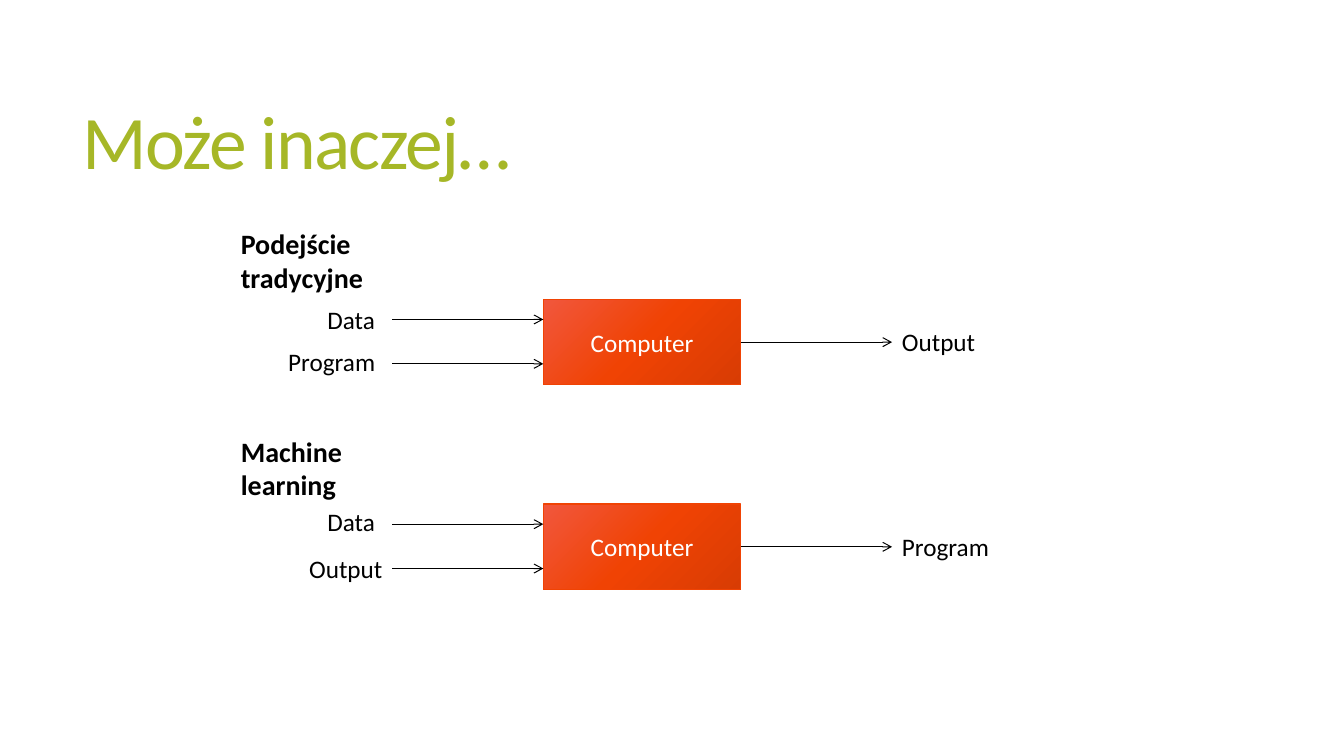
from copy import deepcopy

from lxml.etree import SubElement
from pptx import Presentation
from pptx.dml.color import RGBColor
from pptx.enum.shapes import MSO_CONNECTOR, MSO_SHAPE
from pptx.enum.text import MSO_ANCHOR, MSO_AUTO_SIZE, PP_ALIGN
from pptx.oxml.ns import qn
from pptx.util import Pt

BLACK = "000000"
BOX_WIDTH, BOX_HEIGHT = 141.1, 61.2
ARROW_LENGTH = 108
LABEL_HEIGHT = 28.8
LABEL_WIDTHS = {"Data": 48.3, "Program": 76.3, "Output": 67}


def color(hex_string):
    """Return the colour for a hex string."""
    return RGBColor.from_string(hex_string)


def format_text(shape, text, size, hex_string, bold=False):
    """Write one paragraph of text and format its run."""
    shape.text_frame.text = text
    paragraph = shape.text_frame.paragraphs[0]
    font = paragraph.runs[0].font
    font.name = "Calibri"
    font.size = Pt(size)
    font.bold = bold
    font.color.rgb = color(hex_string)
    return paragraph


def add_title(slide, text, left, top, width, height):
    """Place and format the title placeholder."""
    title = slide.shapes.title
    title.left, title.top, title.width, title.height = map(Pt, (left, top, width, height))
    paragraph = format_text(title, text, 54, "A6B727")
    paragraph.alignment = PP_ALIGN.LEFT
    paragraph.line_spacing = 0.85
    paragraph.runs[0].font._element.set("spc", "-120")
    title.text_frame.vertical_anchor = MSO_ANCHOR.MIDDLE
    title.text_frame.auto_size = MSO_AUTO_SIZE.NONE


def add_label(slide, text, left, top):
    """Add an unwrapped label for an input or a result."""
    label = slide.shapes.add_textbox(Pt(left), Pt(top), Pt(LABEL_WIDTHS[text]), Pt(LABEL_HEIGHT))
    format_text(label, text, 18, BLACK)
    label.text_frame.word_wrap = False


def add_heading(slide, text, left, top):
    """Add a bold heading that wraps onto two lines."""
    heading = slide.shapes.add_textbox(Pt(left), Pt(top), Pt(110), Pt(56))
    format_text(heading, text, 20, BLACK, bold=True)
    heading.text_frame.word_wrap = True


def add_arrow(slide, left, top):
    """Add a horizontal arrow pointing right."""
    arrow = slide.shapes.add_connector(
        MSO_CONNECTOR.STRAIGHT, Pt(left), Pt(top), Pt(left + ARROW_LENGTH), Pt(top))
    arrow.line.color.rgb = color(BLACK)
    arrow.line.width = Pt(0.75)
    SubElement(arrow.line._get_or_add_ln(), qn("a:tailEnd"), type="arrow")
    SubElement(arrow._element.spPr, qn("a:effectLst"))


def add_computer(slide, left, top):
    """Add the computer box with its diagonal gradient."""
    box = slide.shapes.add_shape(
        MSO_SHAPE.RECTANGLE, Pt(left), Pt(top), Pt(BOX_WIDTH), Pt(BOX_HEIGHT))
    box.shadow.inherit = False
    box.line.color.rgb = color("F04304")
    box.line.width = Pt(0.75)
    box.fill.gradient()
    box.fill.gradient_angle = 315
    stop_list = box._element.spPr.find(".//" + qn("a:gsLst"))
    stop_list.insert(1, deepcopy(stop_list[0]))
    stops = zip(box.fill.gradient_stops, (0, 0.5, 1), ("F1573D", "F04304", "D83C04"))
    for stop, position, hex_string in stops:
        stop.position = position
        stop.color.rgb = color(hex_string)
    format_text(box, "Computer", 18, "FFFFFF").alignment = PP_ALIGN.CENTER
    box.text_frame.vertical_anchor = MSO_ANCHOR.MIDDLE


def add_approach(slide, left, top, heading, heading_offset, inputs, result):
    """Draw one approach around a computer box at the given corner."""
    add_computer(slide, left, top)
    for arrow_offset in (14.4, 46.1):
        add_arrow(slide, left - ARROW_LENGTH, top + arrow_offset)
    add_arrow(slide, left + BOX_WIDTH, top + BOX_HEIGHT / 2)
    for text, gap, offset in inputs:
        add_label(slide, text, left - gap - LABEL_WIDTHS[text], top + offset)
    add_label(slide, result, left + BOX_WIDTH + ARROW_LENGTH, top + 15.9)
    add_heading(slide, heading, left - 223.2, top + heading_offset)


def main():
    """Build and save the presentation."""
    presentation = Presentation()
    presentation.slide_width, presentation.slide_height = Pt(960), Pt(540)
    slide = presentation.slides.add_slide(presentation.slide_layouts[5])
    add_title(slide, "Może inaczej…", 51.8, 39.6, 848.2, 130.3)
    add_approach(slide, 388.1, 213.8, "Podejście tradycyjne", -55.4,
                 [("Data", 113, 0), ("Program", 113, 30.3)], "Output")
    add_approach(slide, 388.1, 360, "Machine learning", -53.3,
                 [("Data", 113, -2.2), ("Output", 107.3, 31.7)], "Program")
    presentation.save("out.pptx")


if __name__ == "__main__":
    main()
